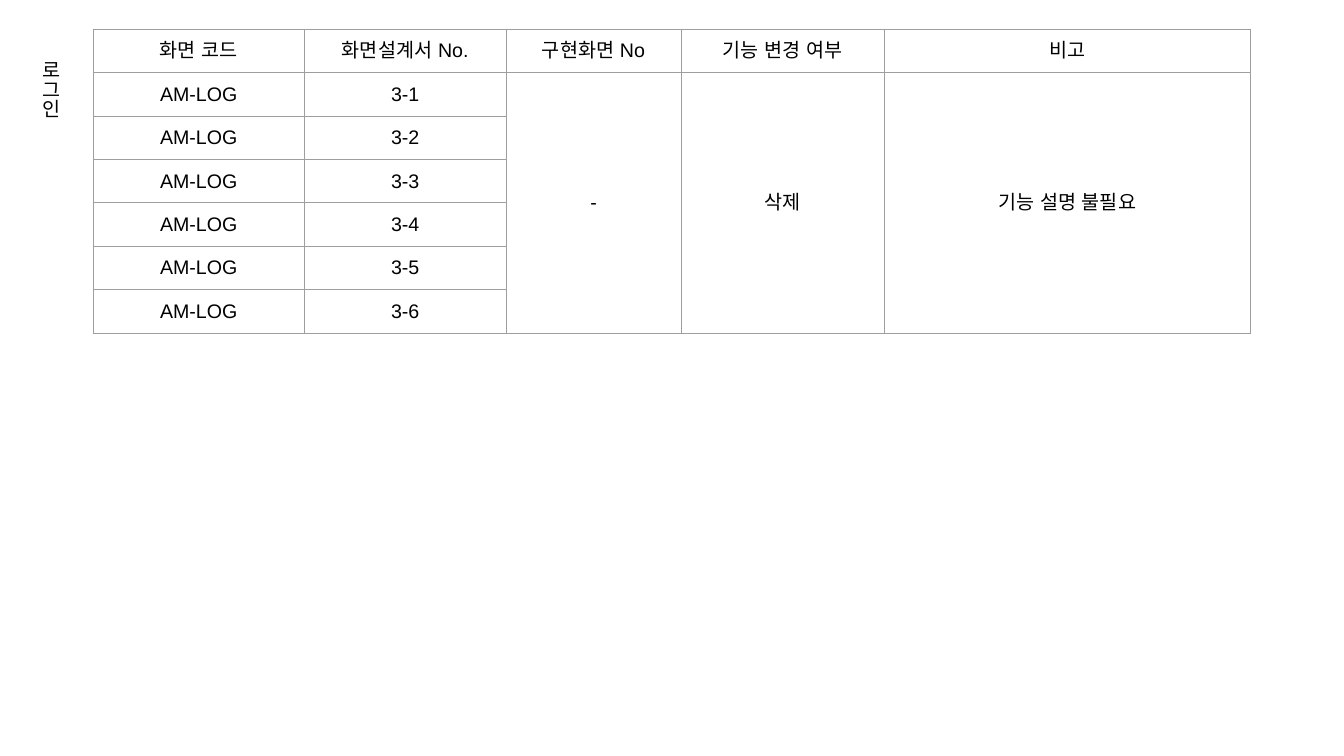
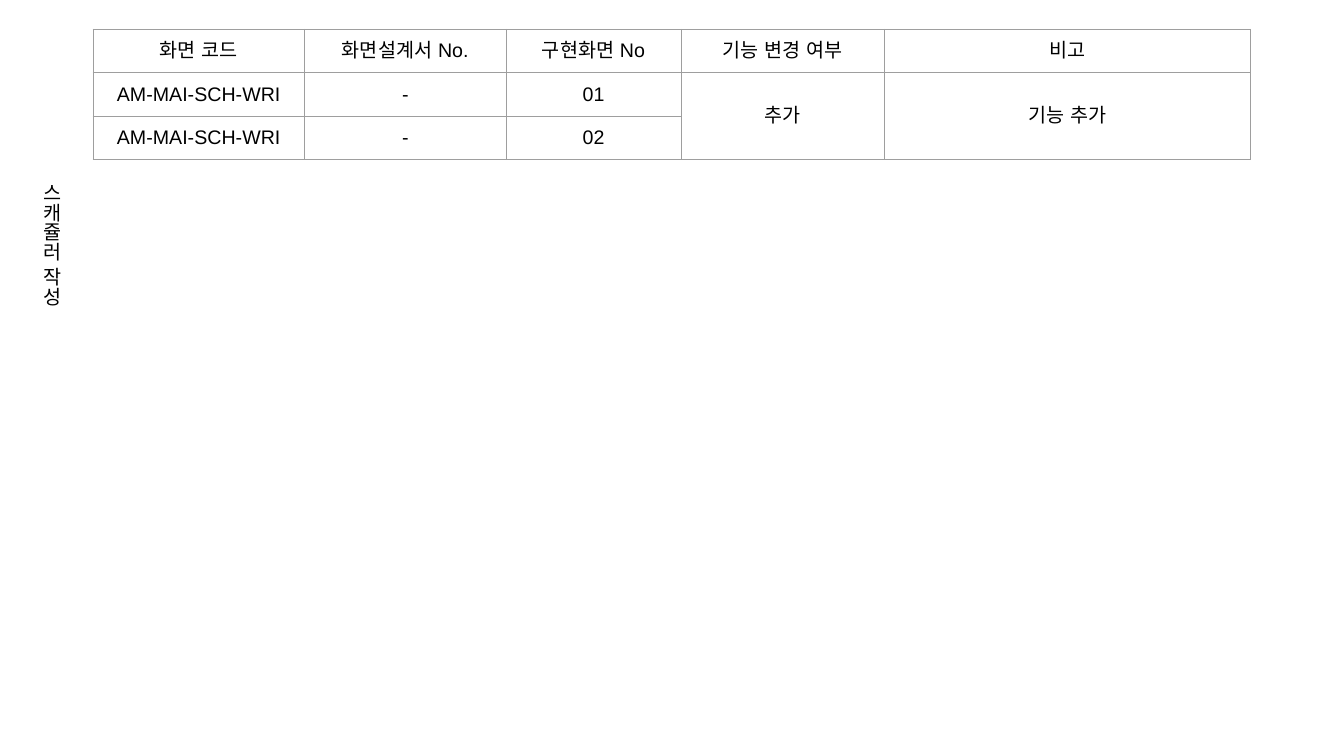
from lxml.etree import SubElement, fromstring
from pptx import Presentation
from pptx.dml.color import RGBColor
from pptx.enum.text import MSO_ANCHOR as Anchor, MSO_AUTO_SIZE as AutoSize, PP_ALIGN as Align
from pptx.oxml.ns import nsdecls, qn
from pptx.util import Pt

COLORS = {"text": "000000", "border": "9E9E9E"}
FONT = "Arial"
FONT_SIZE = 14

HEADERS = ["화면 코드", "화면설계서 No.", "구현화면 No", "기능 변경 여부", "비고"]
# None continues the cell above it.
SECTIONS = [
    ("로그인",
     [("AM-LOG", "3-1", "-", "삭제", "기능 설명 불필요")]
     + [("AM-LOG", f"3-{number}", None, None, None) for number in range(2, 7)]),
    ("스캐쥴러 작성",
     [("AM-MAI-SCH-WRI", "-", "01", "추가", "기능 추가"),
      ("AM-MAI-SCH-WRI", "-", "02", None, None)]),
]

SLIDE_SIZE = (960, 540)
TITLE_BOX = (16.5, 36, 32, 117)
TABLE_LEFT, TABLE_TOP = 66.5, 21
COLUMN_WIDTHS = [151, 144, 125, 145, 262]
ROW_HEIGHT = 31
CELL_MARGIN = 7.2
BORDER_WIDTH = 0.75

TITLE_FORMAT = {
    "auto_size": AutoSize.NONE, "word_wrap": True, "vertical_anchor": Anchor.TOP,
    "margin_left": Pt(7.2), "margin_right": Pt(3.6),
    "margin_top": Pt(7.2), "margin_bottom": Pt(3.6),
}
CELL_FORMAT = {f"margin_{side}": Pt(CELL_MARGIN) for side in ("left", "right", "top", "bottom")}
CELL_FORMAT["vertical_anchor"] = Anchor.MIDDLE


def apply_format(target, values):
    for name, value in values.items():
        setattr(target, name, value)


def write(frame, text, align):
    paragraph = frame.paragraphs[0]
    paragraph.alignment = align
    run = paragraph.add_run()
    run.text = text
    apply_format(run.font, {"name": FONT, "size": Pt(FONT_SIZE)})
    run.font.color.rgb = RGBColor.from_string(COLORS["text"])
    # Korean letters take their font from a:ea.
    SubElement(run.font._element, qn("a:ea"), typeface=FONT)


def add_borders(cell):
    properties = cell._tc.get_or_add_tcPr()
    for position, edge in enumerate(("lnL", "lnR", "lnT", "lnB")):
        properties.insert(position, fromstring(
            f'<a:{edge} {nsdecls("a")} w="{Pt(BORDER_WIDTH)}"><a:solidFill>'
            f'<a:srgbClr val="{COLORS["border"]}"/></a:solidFill></a:{edge}>'))


def set_vertical_title(slide, text):
    title = slide.shapes.title
    apply_format(title, dict(zip(("left", "top", "width", "height"), map(Pt, TITLE_BOX))))
    apply_format(title.text_frame, TITLE_FORMAT)
    title.text_frame._txBody.bodyPr.set("vert", "eaVert")
    write(title.text_frame, text, Align.LEFT)


def add_screen_table(slide, rows):
    table = slide.shapes.add_table(
        len(rows), len(HEADERS), Pt(TABLE_LEFT), Pt(TABLE_TOP),
        Pt(sum(COLUMN_WIDTHS)), Pt(ROW_HEIGHT * len(rows))).table
    apply_format(table, {"first_row": False, "horz_banding": False})
    for column, width in zip(table.columns, COLUMN_WIDTHS):
        column.width = Pt(width)
    for row in table.rows:
        row.height = Pt(ROW_HEIGHT)

    for column, texts in enumerate(zip(*rows)):
        starts = [row for row, text in enumerate(texts) if text is not None]
        for row, text in enumerate(texts):
            cell = table.cell(row, column)
            apply_format(cell, CELL_FORMAT)
            cell.fill.background()
            add_borders(cell)
            if text is not None:
                write(cell.text_frame, text, Align.CENTER)
        for first, following in zip(starts, starts[1:] + [len(rows)]):
            if following - first > 1:
                table.cell(first, column).merge(table.cell(following - 1, column))


def main():
    deck = Presentation()
    deck.slide_width, deck.slide_height = map(Pt, SLIDE_SIZE)
    title_only = deck.slide_layouts.get_by_name("Title Only")
    for name, screens in SECTIONS:
        slide = deck.slides.add_slide(title_only)
        add_screen_table(slide, [HEADERS, *screens])
        set_vertical_title(slide, name)
    deck.save("out.pptx")


if __name__ == "__main__":
    main()
